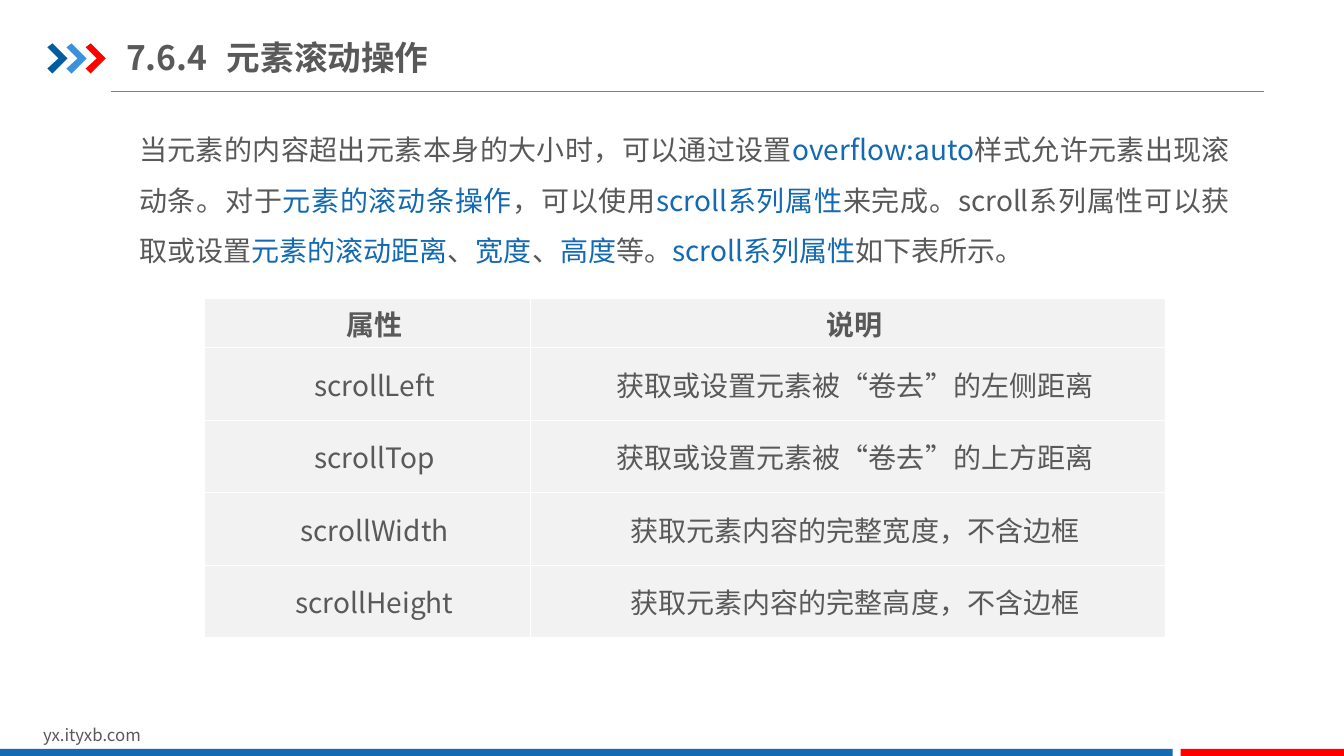
from lxml.etree import SubElement
from pptx import Presentation
from pptx.dml.color import RGBColor
from pptx.enum.shapes import MSO_CONNECTOR, MSO_SHAPE
from pptx.enum.text import MSO_ANCHOR, MSO_AUTO_SIZE, PP_ALIGN
from pptx.oxml.ns import qn
from pptx.util import Inches, Pt

FONT = "Noto Sans CJK SC"
TEXT = RGBColor(0x59, 0x59, 0x59)
BLUE = RGBColor(0x13, 0x69, 0xB2)
DARK_BLUE = RGBColor(0x00, 0x5D, 0xA2)
LIGHT_BLUE = RGBColor(0x39, 0x92, 0xDB)
RED = RGBColor(0xFF, 0x00, 0x00)
RULE_GRAY = RGBColor(0x80, 0x80, 0x80)
CELL_GRAY = RGBColor(0xF2, 0xF2, 0xF2)

# Content
TITLE = "7.6.4\t元素滚动操作"
SITE = "yx.ityxb.com"
INTRO = [
    ("当元素的内容超出元素本身的大小时，可以通过设置", TEXT),
    ("overflow:auto", BLUE),
    ("样式允许元素出现滚动条。对于", TEXT),
    ("元素的滚动条操作", BLUE),
    ("，可以使用", TEXT),
    ("scroll系列属性", BLUE),
    ("来完成。scroll系列属性可以获取或设置", TEXT),
    ("元素的滚动距离", BLUE),
    ("、", TEXT),
    ("宽度", BLUE),
    ("、", TEXT),
    ("高度", BLUE),
    ("等。", TEXT),
    ("scroll系列属性", BLUE),
    ("如下表所示。", TEXT),
]
PROPERTIES = [
    ("属性", "说明"),
    ("scrollLeft", "获取或设置元素被“卷去”的左侧距离"),
    ("scrollTop", "获取或设置元素被“卷去”的上方距离"),
    ("scrollWidth", "获取元素内容的完整宽度，不含边框"),
    ("scrollHeight", "获取元素内容的完整高度，不含边框"),
]
COLUMN_WIDTHS = (3.23, 6.3)
HEADER_HEIGHT, ROW_HEIGHT = 0.49, 0.72
CHEVRON_COLORS = (DARK_BLUE, LIGHT_BLUE, RED)
CHEVRON_LEFT, CHEVRON_TOP, CHEVRON_STEP = 0.47, 0.43, 0.19
CHEVRON_POINTS = [(0, 0.04), (0.05, 0), (0.2, 0.15), (0.05, 0.3), (0, 0.25), (0.11, 0.15)]
FOOTER_BARS = [(0, 11.63, BLUE), (11.71, 1.63, RED)]


def style_run(run, size, color=TEXT, bold=False):
    run.font.size = Pt(size)
    run.font.bold = bold
    run.font.name = FONT
    run.font.color.rgb = color
    SubElement(run._r.get_or_add_rPr(), qn("a:ea")).set("typeface", FONT)


def place(shape, left, top, width, height):
    shape.left, shape.top = Inches(left), Inches(top)
    shape.width, shape.height = Inches(width), Inches(height)


def set_margins(target, horizontal, vertical):
    target.margin_left = target.margin_right = Inches(horizontal)
    target.margin_top = target.margin_bottom = Inches(vertical)


def paint(shape, color):
    shape.shadow.inherit = False
    shape.fill.solid()
    shape.fill.fore_color.rgb = color
    shape.line.fill.background()


def add_cell_borders(cell):
    properties = cell._tc.get_or_add_tcPr()
    for position, side in enumerate(("a:lnL", "a:lnR", "a:lnT", "a:lnB")):
        line = properties.makeelement(qn(side), {"w": str(Pt(1))})
        fill = SubElement(line, qn("a:solidFill"))
        SubElement(fill, qn("a:srgbClr")).set("val", "FFFFFF")
        properties.insert(position, line)


presentation = Presentation()
presentation.slide_width, presentation.slide_height = Inches(13.33), Inches(7.5)
slide = presentation.slides.add_slide(presentation.slide_layouts[1])
shapes = slide.shapes
title, body = slide.placeholders

# Rule under the title
rule = shapes.add_connector(
    MSO_CONNECTOR.STRAIGHT, Inches(1.1), Inches(0.91), Inches(12.54), Inches(0.91))
rule.line.color.rgb = RULE_GRAY
rule.line.width = Pt(0.75)
SubElement(rule._element.spPr, qn("a:effectLst"))

# Chevrons
for index, color in enumerate(CHEVRON_COLORS):
    left = CHEVRON_LEFT + index * CHEVRON_STEP
    points = [(Inches(left + x), Inches(CHEVRON_TOP + y)) for x, y in CHEVRON_POINTS]
    builder = shapes.build_freeform(*points[0])
    builder.add_line_segments(points[1:], close=True)
    paint(builder.convert_to_shape(), color)

# Footer
site = shapes.add_textbox(Inches(0.33), Inches(7.14), Inches(3.18), Inches(0.3))
site.text_frame.word_wrap = True
site.text_frame.text = SITE
style_run(site.text_frame.paragraphs[0].runs[0], 12)
for left, width, color in FOOTER_BARS:
    bar = shapes.add_shape(
        MSO_SHAPE.RECTANGLE, Inches(left), Inches(7.43), Inches(width), Inches(0.09))
    paint(bar, color)

# Title
place(title, 1.25, 0.29, 4.79, 0.55)
title_frame = title.text_frame
title_frame.text = TITLE
title_frame.auto_size = MSO_AUTO_SIZE.NONE
title_frame.vertical_anchor = MSO_ANCHOR.MIDDLE
set_margins(title_frame, 0, 0.07)
heading = title_frame.paragraphs[0]
heading.alignment = PP_ALIGN.LEFT
tabs = SubElement(heading._p.get_or_add_pPr(), qn("a:tabLst"))
SubElement(tabs, qn("a:tab"), pos=str(Inches(1)), algn="l")
for run in heading.runs:
    style_run(run, 24, bold=True)

# Introduction
place(body, 1.25, 1.08, 11.08, 1.65)
body_frame = body.text_frame
body_frame.auto_size = MSO_AUTO_SIZE.NONE
body_frame.vertical_anchor = MSO_ANCHOR.TOP
set_margins(body_frame, 0.13, 0.07)
intro = body_frame.paragraphs[0]
intro_properties = intro._p.get_or_add_pPr()
intro_properties.set("marL", "0")
intro_properties.set("indent", "0")
SubElement(intro_properties, qn("a:buNone"))
intro.alignment = PP_ALIGN.JUSTIFY
intro.line_spacing = 1.5
intro.space_before = Pt(0)
for words, color in INTRO:
    run = intro.add_run()
    run.text = words
    style_run(run, 20, color)

# Property table
table_height = HEADER_HEIGHT + ROW_HEIGHT * (len(PROPERTIES) - 1)
table = shapes.add_table(
    len(PROPERTIES), len(COLUMN_WIDTHS), Inches(2.03), Inches(2.96),
    Inches(sum(COLUMN_WIDTHS)), Inches(table_height)).table
for column, width in zip(table.columns, COLUMN_WIDTHS):
    column.width = Inches(width)
for row_index, values in enumerate(PROPERTIES):
    is_header = row_index == 0
    table.rows[row_index].height = Inches(HEADER_HEIGHT if is_header else ROW_HEIGHT)
    for column_index, value in enumerate(values):
        cell = table.cell(row_index, column_index)
        cell.fill.solid()
        cell.fill.fore_color.rgb = CELL_GRAY
        add_cell_borders(cell)
        cell.vertical_anchor = MSO_ANCHOR.MIDDLE
        set_margins(cell, 0.07, 0)
        cell.text_frame.text = value
        paragraph = cell.text_frame.paragraphs[0]
        paragraph.alignment = PP_ALIGN.CENTER
        paragraph._p.get_or_add_pPr().set("indent", str(Inches(0.14)))
        style_run(paragraph.runs[0], 20, bold=is_header)

presentation.save("out.pptx")
